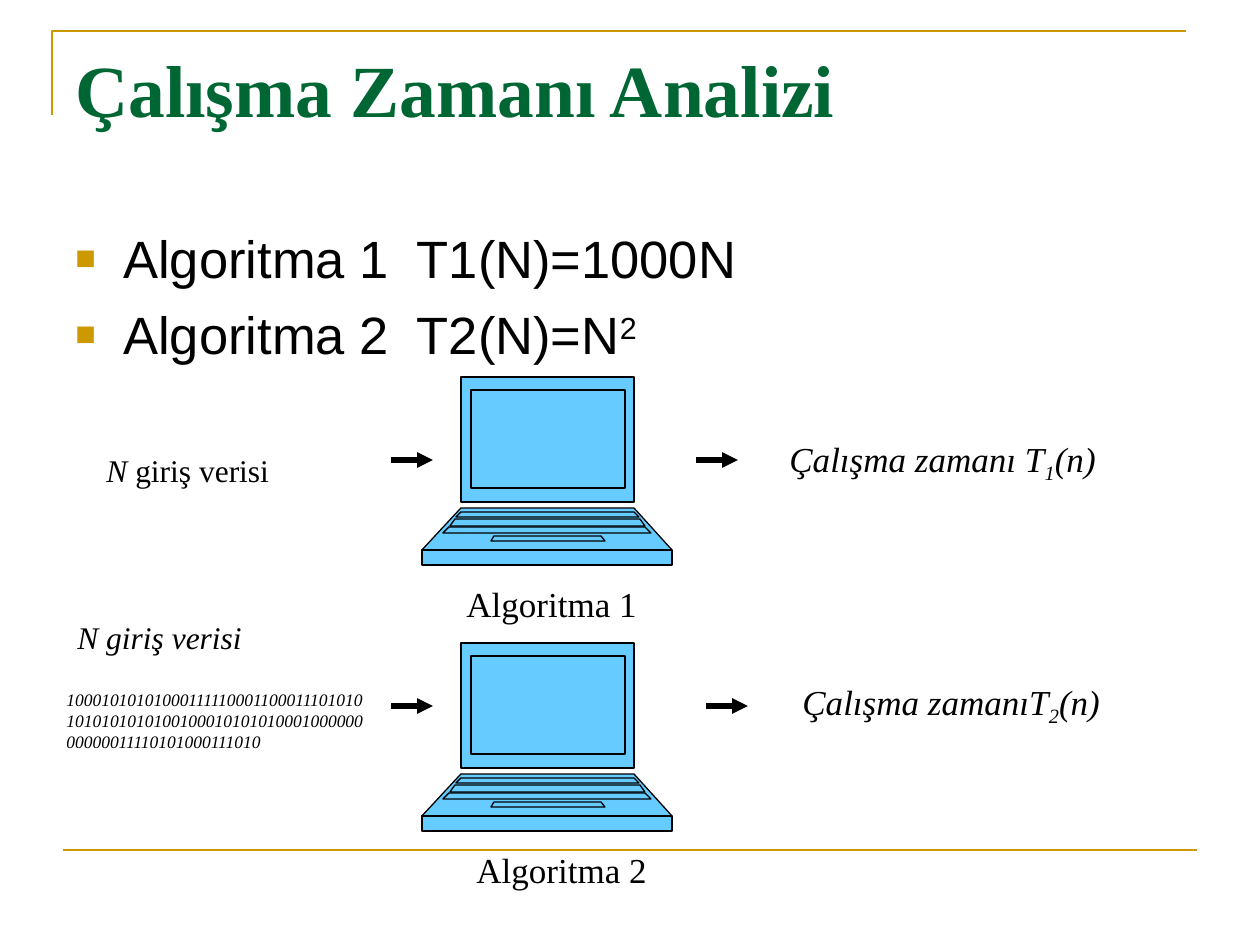
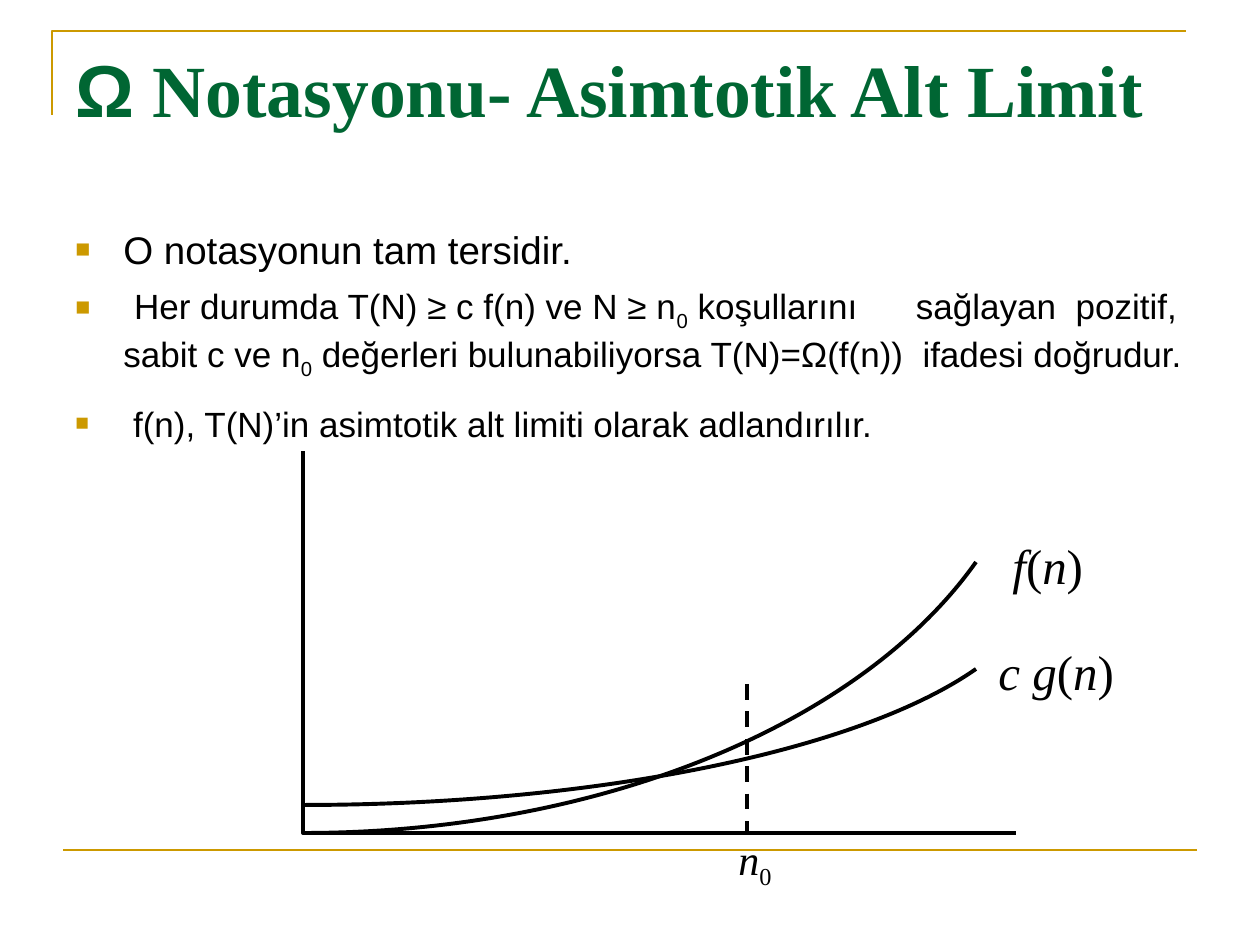
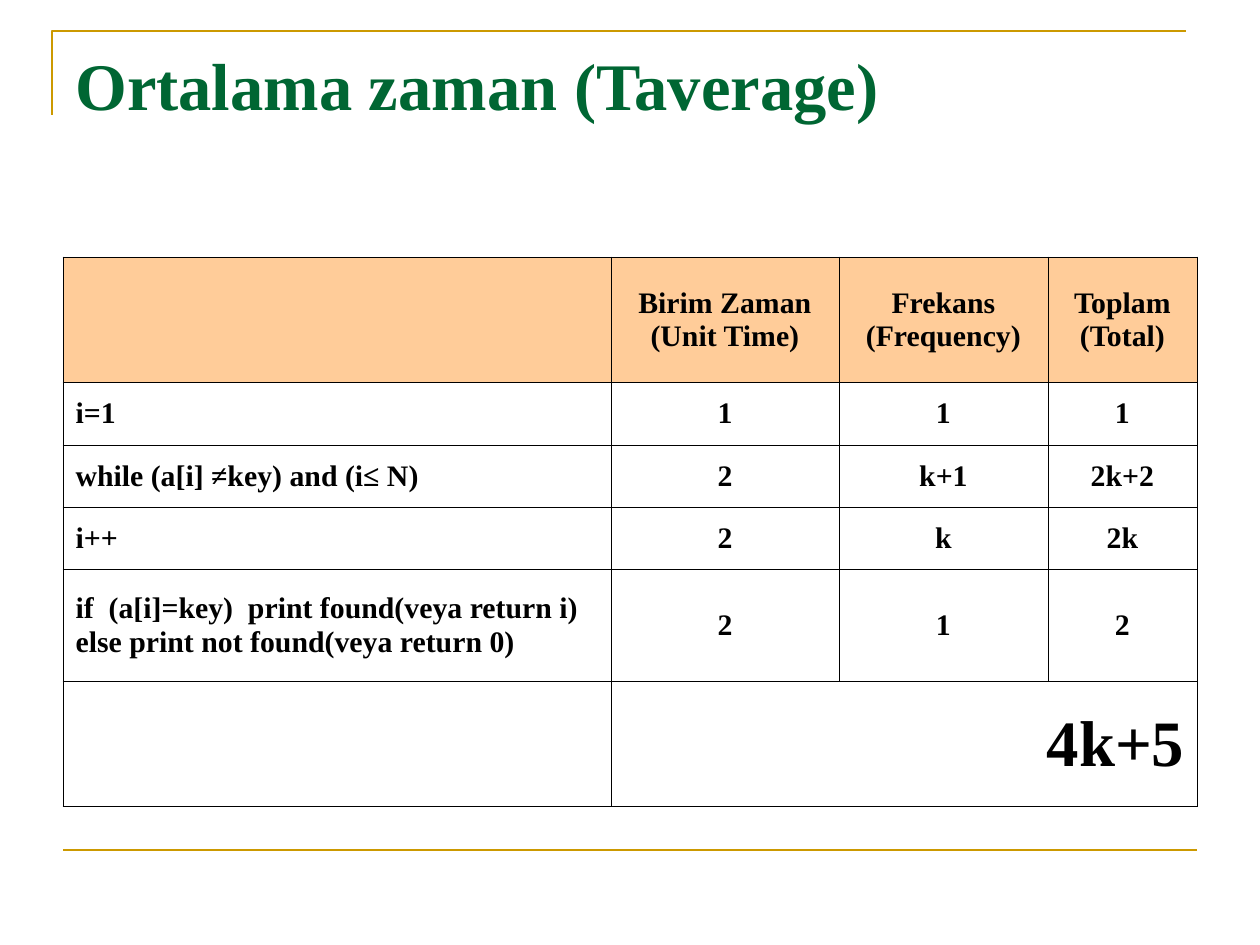
from copy import deepcopy

from lxml.etree import SubElement
from pptx import Presentation
from pptx.dml.color import RGBColor
from pptx.enum.dml import MSO_LINE
from pptx.enum.shapes import MSO_CONNECTOR
from pptx.enum.text import MSO_ANCHOR, PP_ALIGN
from pptx.oxml.ns import qn
from pptx.util import Emu, Pt

PX = 914400 / 126
SLIDE_SIZE = (1260, 945)


class Theme:
    gold = "CC9900"
    green = "006633"
    black = "000000"
    laptop = "66CCFF"
    header = "FFCC99"
    serif = "Times New Roman"
    sans = "Arial"
    title_size = 42
    long_title_size = 38
    body_size = 30
    lead_size = 22
    detail_size = 20
    label_size = 20
    input_size = 18
    bits_size = 10
    curve_size = 28
    axis_size = 24
    cell_size = 17
    total_size = 37
    rule_width = 1.5
    curve_width = 2.25
    arrow_width = 3
    laptop_width = 0.75
    border_width = 0.45


# Frame shared by all slides
CORNER = [(52, 115), (52, 31), (1186, 31)]
FOOT_RULE = (63, 850, 1197, 850)
TITLE_BOX = (63, 38, 1134, 158)
BODY_BOX = (63, 220, 1134, 624)
BULLET_INDENT = 48

ITALIC = {"italic": True}
UPRIGHT = {"italic": False}
SUBSCRIPT = {"baseline": -25}
LOW_ITALIC = ITALIC | SUBSCRIPT

# Slide 1. A paragraph is (space before in points, runs); a run is (text, format).
ANALYSIS_TITLE = [("Çalışma Zamanı Analizi", {})]
ANALYSIS_BODY = [
    (0, [("Algoritma 1  T1(N)=1000N", {})]),
    (7.5, [("Algoritma 2  T2(N)=N", {}), ("2", {"baseline": 30})]),
]
BITS = "10001010101000111110001100011101010101010101010010001010101000100000000000011110101000111010"
# Each label: box, size, runs; boxes leave room so that only the bits wrap
ANALYSIS_LABELS = [
    ((94, 445, 218, 50), Theme.input_size, [("N ", ITALIC), ("giriş verisi", UPRIGHT)]),
    ((454, 576, 220, 55), Theme.label_size, [("Algoritma 1", {})]),
    ((777, 431, 360, 60), Theme.label_size,
     [("Çalışma zamanı T", ITALIC), ("1", LOW_ITALIC), ("(n)", ITALIC)]),
    ((65, 612, 220, 50), Theme.input_size, [("N giriş verisi", ITALIC)]),
    ((464, 842, 220, 55), Theme.label_size, [("Algoritma 2", {})]),
    ((790, 674, 360, 60), Theme.label_size,
     [("Çalışma zamanıT", ITALIC), ("2", LOW_ITALIC), ("(n)", ITALIC)]),
    ((54, 683, 323, 76), Theme.bits_size, [(BITS, ITALIC)]),
]
ARROW_LENGTH = 42
ARROW_STARTS = [(391, 460), (696, 460), (391, 706), (706, 706)]
LAPTOP_ORIGINS = [(422, 377), (422, 643)]
# Each part: top, its left and right; bottom, its left and right
LAPTOP_PARTS = [
    (0, 39, 212, 125, 39, 212),
    (131, 39, 212, 173, 0, 250),
    (173, 0, 250, 188, 0, 250),
    (13, 49, 203, 111, 49, 203),
    (135, 39, 212, 140, 34, 217),
    (159, 72, 179, 164, 69, 183),
    (142, 33, 218, 149, 28, 223),
    (150, 27, 223, 156, 21, 229),
]

# Slide 2
OMEGA_TITLE = [("Ω", {"name": Theme.sans}), (" Notasyonu- Asimtotik Alt Limit", {})]
DETAIL = {"size": Pt(Theme.detail_size)}
DETAIL_LOW = DETAIL | SUBSCRIPT
OMEGA_BODY = [
    (0, [("O notasyonun tam tersidir.", {})]),
    (5, [(" ", {}), ("Her durumda T(N) ≥ c f(n) ve N ≥ n", DETAIL), ("0", DETAIL_LOW),
         (" koşullarını", DETAIL), (" ", DETAIL | {"spacing": 27.8}),
         ("sağlayan  pozitif, sabit c ve n", DETAIL), ("0", DETAIL_LOW),
         (" değerleri bulunabiliyorsa T(N)=Ω(f(n))  ifadesi doğrudur.", DETAIL)]),
    (12.5, [(" f(n), T(N)’in asimtotik alt limiti olarak adlandırılır.", DETAIL)]),
]
AXES = [(303, 451), (303, 833), (1016, 833)]
CURVES = [
    [(303, 805), (595, 805), (859, 751), (976, 669)],
    [(303, 833), (595, 833), (859, 727), (976, 562)],
]
THRESHOLD = (747, 684, 747, 833)
ARGUMENT = [("(", UPRIGHT), ("n", ITALIC), (")", UPRIGHT)]
OMEGA_LABELS = [
    ((1000, 529, 130, 72), Theme.curve_size, [("f", ITALIC)] + ARGUMENT),
    ((986, 635, 180, 72), Theme.curve_size, [("c g", ITALIC)] + ARGUMENT),
    ((726, 827, 90, 71), Theme.axis_size, [("n", ITALIC), ("0", SUBSCRIPT)]),
]

# Slide 3
AVERAGE_TITLE = [("Ortalama zaman (Taverage)", {})]
TABLE_ORIGIN = (63, 257)
COLUMN_WIDTHS = [548, 228, 209, 149]
ROW_HEIGHTS = [125, 63, 62, 62, 113, 125]
COST_ROWS = [
    ["", "Birim Zaman\n(Unit Time)", "Frekans\n(Frequency)", "Toplam\n(Total)"],
    ["i=1", "1", "1", "1"],
    ["while (a[i] ≠key) and (i≤ N)", "2", "k+1", "2k+2"],
    ["i++", "2", "k", "2k"],
    ["if  (a[i]=key)  print found(veya return i)\nelse print not found(veya return 0)",
     "2", "1", "2"],
    ["", "4k+5", "", ""],
]


def px(*lengths):
    return [Emu(round(length * PX)) for length in lengths]


def rgb(value):
    return RGBColor.from_string(value)


def add_runs(paragraph, runs, base):
    """Add runs; baseline is in percent and spacing in points, the rest are font attributes."""
    for text, changes in runs:
        run = paragraph.add_run()
        run.text = text
        for name, value in (base | changes).items():
            if name == "color":
                run.font.color.rgb = rgb(value)
            elif name == "baseline":
                run._r.get_or_add_rPr().set("baseline", str(value * 1000))
            elif name == "spacing":
                run._r.get_or_add_rPr().set("spc", str(round(value * 100)))
            else:
                setattr(run.font, name, value)


def font_format(name, size, color=Theme.black, bold=False):
    return {"name": name, "size": Pt(size), "color": color, "bold": bold}


def add_text_frame(slide, box):
    frame = slide.shapes.add_textbox(*px(*box)).text_frame
    frame.word_wrap = True
    return frame


def add_bullet(paragraph):
    properties = paragraph._p.get_or_add_pPr()
    indent = px(BULLET_INDENT)[0]
    properties.set("marL", str(indent))
    properties.set("indent", str(-indent))
    color = SubElement(properties, qn("a:buClr"))
    SubElement(color, qn("a:srgbClr"), val=Theme.gold)
    SubElement(properties, qn("a:buSzPct"), val="65000")
    SubElement(properties, qn("a:buFont"), typeface=Theme.sans)
    SubElement(properties, qn("a:buChar"), char="■")


def add_body(slide, paragraphs, size):
    frame = add_text_frame(slide, BODY_BOX)
    for index, (space, runs) in enumerate(paragraphs):
        paragraph = frame.add_paragraph() if index else frame.paragraphs[0]
        add_bullet(paragraph)
        paragraph.space_before = Pt(space)
        add_runs(paragraph, runs, font_format(Theme.sans, size))


def add_labels(slide, labels):
    for box, size, runs in labels:
        frame = add_text_frame(slide, box)
        add_runs(frame.paragraphs[0], runs, font_format(Theme.serif, size))


def style_line(line, color, width):
    line.color.rgb = rgb(color)
    line.width = Pt(width)


def add_line(slide, ends, color, width):
    connector = slide.shapes.add_connector(MSO_CONNECTOR.STRAIGHT, *px(*ends))
    style_line(connector.line, color, width)
    SubElement(connector._element.spPr, qn("a:effectLst"))
    return connector


def add_arrow(slide, x, y):
    arrow = add_line(slide, (x, y, x + ARROW_LENGTH, y), Theme.black, Theme.arrow_width)
    SubElement(arrow.line._get_or_add_ln(), qn("a:tailEnd"), type="triangle")


def add_outline(slide, contours, color, width, fill=None):
    """Draw closed contours when filled, open ones otherwise."""
    first, *others = contours
    builder = slide.shapes.build_freeform(*first[0], scale=PX)
    builder.add_line_segments(first[1:], close=bool(fill))
    for contour in others:
        builder.move_to(*contour[0])
        builder.add_line_segments(contour[1:], close=bool(fill))
    shape = builder.convert_to_shape()
    shape.shadow.inherit = False
    if fill:
        shape.fill.solid()
        shape.fill.fore_color.rgb = rgb(fill)
    else:
        shape.fill.background()
    style_line(shape.line, color, width)
    return shape


def split_contours(shape):
    """Give each contour its own outline, so that overlaps stay filled."""
    outlines = shape._element.xpath(".//a:pathLst")[0]
    combined = outlines[0]
    steps = list(combined)
    for step in steps:
        combined.remove(step)
    empty = deepcopy(combined)
    outlines.remove(combined)
    for step in steps:
        if step.tag == qn("a:moveTo"):
            outlines.append(deepcopy(empty))
        outlines[-1].append(step)


def add_laptop(slide, x, y):
    contours = [
        [(x + top_left, y + top), (x + top_right, y + top),
         (x + low_right, y + low), (x + low_left, y + low)]
        for top, top_left, top_right, low, low_left, low_right in LAPTOP_PARTS
    ]
    split_contours(add_outline(slide, contours, Theme.black, Theme.laptop_width, Theme.laptop))


def add_curve(slide, points):
    """Draw a cubic curve from its start, two control points and end."""
    shape = add_outline(slide, [points], Theme.black, Theme.curve_width)
    segments = shape._element.xpath(".//a:lnTo")
    bezier = SubElement(segments[0].getparent(), qn("a:cubicBezTo"))
    for segment in segments:
        bezier.append(segment[0])
        segment.getparent().remove(segment)


def add_borders(cell):
    properties = cell._tc.get_or_add_tcPr()
    for side in ("lnL", "lnR", "lnT", "lnB"):
        border = SubElement(properties, qn(f"a:{side}"), w=str(Pt(Theme.border_width)))
        fill = SubElement(border, qn("a:solidFill"))
        SubElement(fill, qn("a:srgbClr"), val=Theme.black)


def fill_cell(cell, text, row, column):
    is_total = row == len(COST_ROWS) - 1
    add_borders(cell)
    if row == 0:
        cell.fill.solid()
        cell.fill.fore_color.rgb = rgb(Theme.header)
    else:
        cell.fill.background()
    cell.vertical_anchor = MSO_ANCHOR.MIDDLE
    size = Theme.total_size if is_total else Theme.cell_size
    for index, line in enumerate(text.split("\n") if text else []):
        frame = cell.text_frame
        paragraph = frame.add_paragraph() if index else frame.paragraphs[0]
        if column:
            paragraph.alignment = PP_ALIGN.RIGHT if is_total else PP_ALIGN.CENTER
        add_runs(paragraph, [(line, {})], font_format(Theme.serif, size, bold=True))


def add_cost_table(slide):
    area = (*TABLE_ORIGIN, sum(COLUMN_WIDTHS), sum(ROW_HEIGHTS))
    table = slide.shapes.add_table(len(ROW_HEIGHTS), len(COLUMN_WIDTHS), *px(*area)).table
    table.first_row = table.horz_banding = False
    for column, width in zip(table.columns, px(*COLUMN_WIDTHS)):
        column.width = width
    for row, height in zip(table.rows, px(*ROW_HEIGHTS)):
        row.height = height
    for row, texts in enumerate(COST_ROWS):
        for column, text in enumerate(texts):
            fill_cell(table.cell(row, column), text, row, column)
    last = len(ROW_HEIGHTS) - 1
    table.cell(last, 1).merge(table.cell(last, len(COLUMN_WIDTHS) - 1))


def add_framed_slide(presentation, title, size=Theme.title_size):
    slide = presentation.slides.add_slide(presentation.slide_layouts[6])
    add_outline(slide, [CORNER], Theme.gold, Theme.rule_width)
    add_line(slide, FOOT_RULE, Theme.gold, Theme.rule_width)
    frame = add_text_frame(slide, TITLE_BOX)
    add_runs(frame.paragraphs[0], title, font_format(Theme.serif, size, Theme.green, True))
    return slide


def build_analysis(presentation):
    slide = add_framed_slide(presentation, ANALYSIS_TITLE)
    add_body(slide, ANALYSIS_BODY, Theme.body_size)
    for origin in LAPTOP_ORIGINS:
        add_laptop(slide, *origin)
    for start in ARROW_STARTS:
        add_arrow(slide, *start)
    add_labels(slide, ANALYSIS_LABELS)


def build_omega(presentation):
    slide = add_framed_slide(presentation, OMEGA_TITLE)
    add_body(slide, OMEGA_BODY, Theme.lead_size)
    add_outline(slide, [AXES], Theme.black, Theme.curve_width)
    for points in CURVES:
        add_curve(slide, points)
    threshold = add_line(slide, THRESHOLD, Theme.black, Theme.curve_width)
    threshold.line.dash_style = MSO_LINE.DASH
    add_labels(slide, OMEGA_LABELS)


def build_average(presentation):
    slide = add_framed_slide(presentation, AVERAGE_TITLE, Theme.long_title_size)
    add_cost_table(slide)


def main():
    presentation = Presentation()
    presentation.slide_width, presentation.slide_height = px(*SLIDE_SIZE)
    for build in (build_analysis, build_omega, build_average):
        build(presentation)
    presentation.save("out.pptx")


if __name__ == "__main__":
    main()
